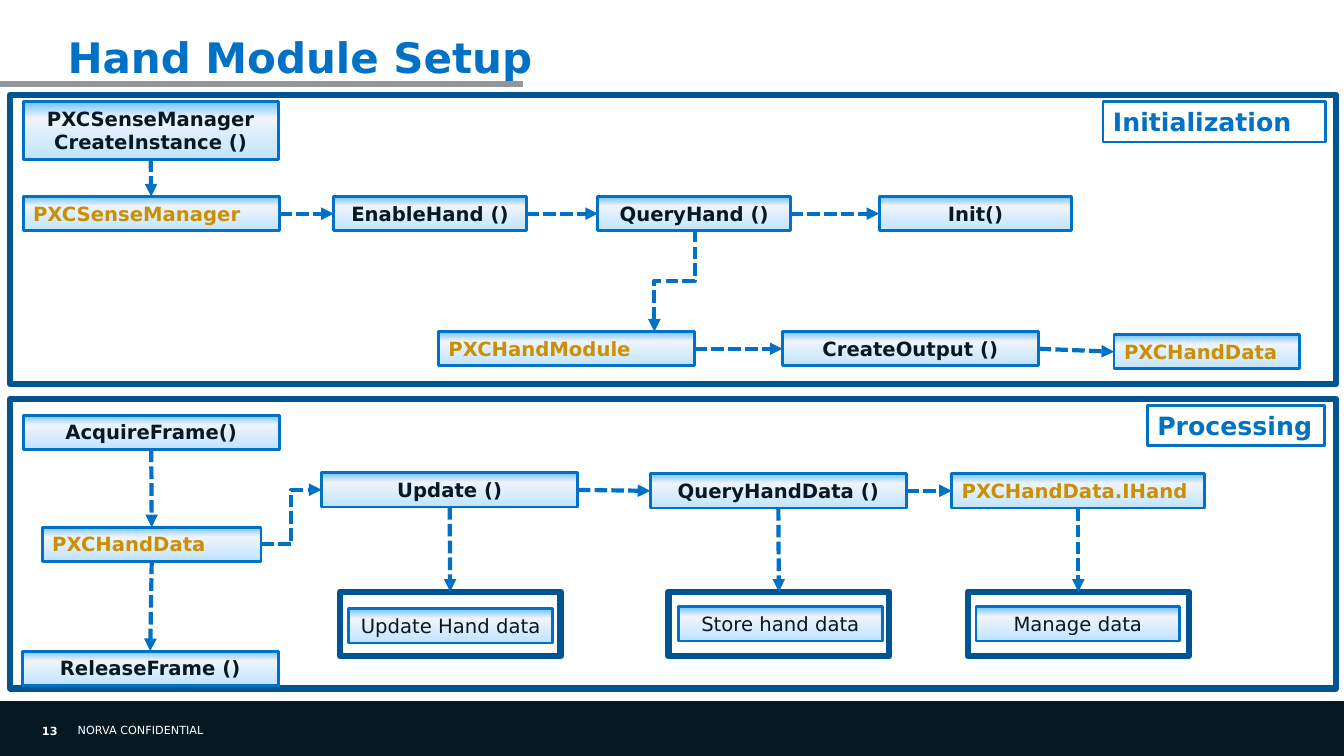
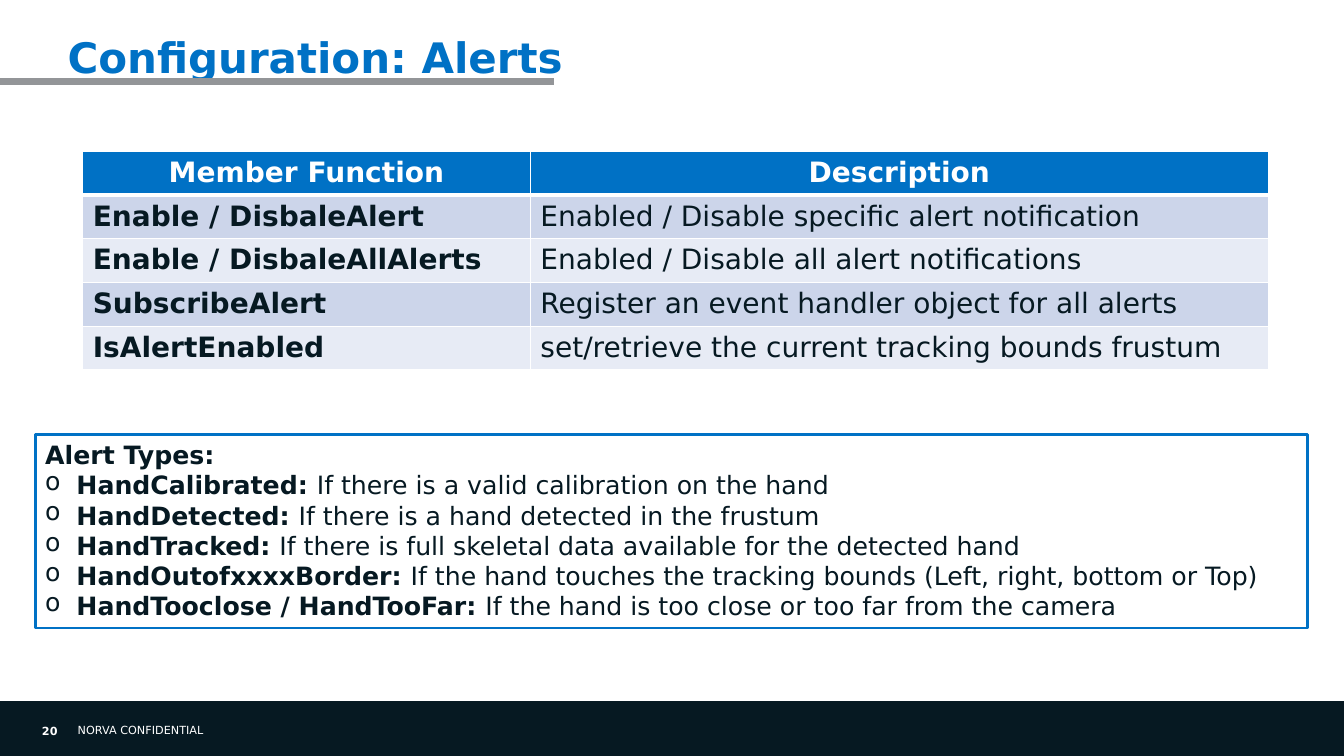
from copy import deepcopy

from lxml.etree import SubElement
from pptx import Presentation
from pptx.dml.color import RGBColor
from pptx.enum.dml import MSO_LINE
from pptx.enum.shapes import MSO_CONNECTOR as Route, MSO_SHAPE
from pptx.enum.text import MSO_ANCHOR as Anchor, PP_ALIGN as Align
from pptx.oxml.ns import qn
from pptx.util import Inches, Pt

FONT = "DejaVu Sans"
BLUE, DEEP_BLUE, INK = "0071C5", "005492", "061922"
WHITE, GREY, GOLD = "FFFFFF", "939598", "CA8F02"
ROW_FILLS = ("CCD5EA", "E7EBF5")
BOX_GRADIENT = ((0, "72C3FF"), (0.28, "F0F4FA"), (1, "C0E4FF"))
FOOTER = "NORVA CONFIDENTIAL"
TOP, LEFT, BOTTOM, RIGHT = range(4)  # connection sites of a rectangle

# Panel top, label, label left, label top, label width
PANELS = [
    (0.94, "Initialization", 10.94, 1.01, 2.21),
    (3.96, "Processing", 11.38, 4.02, 1.76),
]
BOX_HEIGHT = 0.34
# Key: text, left, top, width
CALLS = {
    "enable": ("EnableHand ()", 3.31, 1.95, 1.91),
    "query": ("QueryHand ()", 5.93, 1.95, 1.91),
    "init": ("Init()", 8.72, 1.95, 1.91),
    "output": ("CreateOutput ()", 7.76, 3.29, 2.54),
    "acquire": ("AcquireFrame()", 0.23, 4.12, 2.54),
    "release": ("ReleaseFrame ()", 0.22, 6.46, 2.54),
    "update": ("Update ()", 3.19, 4.69, 2.54),
    "query data": ("QueryHandData ()", 6.45, 4.7, 2.54),
}
OBJECTS = {
    "manager": ("PXCSenseManager", 0.23, 1.95, 2.54),
    "module": ("PXCHandModule", 4.35, 3.29, 2.54),
    "output data": ("PXCHandData", 11.05, 3.32, 1.84),
    "frame data": ("PXCHandData", 0.42, 5.23, 2.17),
    "hand": ("PXCHandData.IHand", 9.44, 4.7, 2.51),
}
ACTIONS = {
    "do update": ("Update Hand data", 3.46, 6.04, 2.02),
    "do store": ("Store hand data", 6.73, 6.02, 2.02),
    "do manage": ("Manage data", 9.68, 6.02, 2.02),
}
ACTION_FRAMES = {"update frame": 3.37, "store frame": 6.63, "manage frame": 9.6}
ACROSS = [
    ("manager", "enable"), ("enable", "query"), ("query", "init"),
    ("module", "output"), ("output", "output data"),
    ("update", "query data"), ("query data", "hand"),
]
DOWN = [
    ("create", "manager"), ("acquire", "frame data"), ("frame data", "release"),
    ("update", "update frame"), ("query data", "store frame"),
    ("hand", "manage frame"),
]

ALERT_FUNCTIONS = [
    ("Member Function", "Description"),
    ("Enable / DisbaleAlert", "Enabled / Disable specific alert notification"),
    ("Enable / DisbaleAllAlerts", "Enabled / Disable all alert notifications"),
    ("SubscribeAlert", "Register an event handler object for all alerts"),
    ("IsAlertEnabled", "set/retrieve the current tracking bounds frustum"),
]
ALERT_TYPES = [
    ("HandCalibrated: ", "If there is a valid calibration on the hand"),
    ("HandDetected: ", "If there is a hand detected in the frustum"),
    ("HandTracked: ", "If there is full skeletal data available for the detected hand"),
    ("HandOutofxxxxBorder: ",
     "If the hand touches the tracking bounds (Left, right, bottom or Top)"),
    ("HandTooclose / HandTooFar: ",
     "If the hand is too close or too far from the camera"),
]


def rgb(value):
    return RGBColor.from_string(value)


def add_run(paragraph, text, size, color=INK, bold=False):
    run = paragraph.add_run()
    run.text = text
    run.font.name, run.font.size, run.font.bold = FONT, Pt(size), bold
    run.font.color.rgb = rgb(color)


def add_text(slide, place, text, size, color, bold=False, inset=True):
    """Add a one-paragraph text box and return its text frame."""
    frame = slide.shapes.add_textbox(*map(Inches, place)).text_frame
    frame.word_wrap = True
    if not inset:
        frame.margin_left = frame.margin_right = 0
        frame.margin_top = frame.margin_bottom = 0
    add_run(frame.paragraphs[0], text, size, color, bold)
    return frame


def add_rect(slide, place, line, width, fill=None):
    rect = slide.shapes.add_shape(MSO_SHAPE.RECTANGLE, *map(Inches, place))
    rect.shadow.inherit = False
    if fill:
        rect.fill.solid()
        rect.fill.fore_color.rgb = rgb(fill)
    else:
        rect.fill.background()
    rect.line.color.rgb, rect.line.width = rgb(line), Pt(width)
    rect.text_frame.word_wrap = True
    rect.text_frame.vertical_anchor = Anchor.TOP
    rect.text_frame.paragraphs[0].alignment = Align.LEFT
    return rect


def add_box(slide, text, place, color=INK, bold=True, align=Align.CENTER):
    """Add a flow step with the shared gradient."""
    box = add_rect(slide, place, BLUE, 2)
    box.fill.gradient()
    box.fill.gradient_angle = 270
    stops = box._element.spPr.find(".//" + qn("a:gsLst"))
    stops.insert(1, deepcopy(stops[0]))
    for stop, (position, shade) in zip(box.fill.gradient_stops, BOX_GRADIENT):
        stop.position, stop.color.rgb = position, rgb(shade)
    paragraph = box.text_frame.paragraphs[0]
    paragraph.alignment = align
    add_run(paragraph, text, 14, color, bold)
    return box


def add_line(slide, route, ends, color, width):
    line = slide.shapes.add_connector(route, *ends)
    line.line.color.rgb, line.line.width = rgb(color), Pt(width)
    SubElement(line._element.spPr, qn("a:effectLst"))
    return line


def add_arrow(slide, route, ends=(0, 0, 0, 0)):
    arrow = add_line(slide, route, ends, BLUE, 3)
    arrow.line.dash_style = MSO_LINE.SQUARE_DOT
    SubElement(arrow.line._get_or_add_ln(), qn("a:tailEnd"), type="triangle")
    return arrow


def link(slide, source, source_site, target, target_site, route=Route.STRAIGHT):
    arrow = add_arrow(slide, route)
    arrow.begin_connect(source, source_site)
    arrow.end_connect(target, target_site)


def add_step_down(slide, x1, y1, x2, y2):
    """Add an elbow arrow that leaves downwards and steps to the left."""
    run, drop = x1 - x2, y2 - y1
    left, top = (x1 + x2 - drop) / 2, (y1 + y2 - run) / 2
    ends = [Inches(v) for v in (left, top, left + drop, top + run)]
    arrow = add_arrow(slide, Route.ELBOW, ends)
    arrow._element.spPr.find(qn("a:xfrm")).set("rot", str(90 * 60000))


def start_slide(deck, title, number, rule_end, rule_top):
    """Add a slide with the shared title, rule and footer band."""
    slide = deck.slides.add_slide(deck.slide_layouts[6])
    add_rect(slide, (0, 6.96, 13.33, 0.54), INK, 0.25, INK)
    add_text(slide, (0.77, 7.18, 4.22, 0.13), FOOTER, 8, WHITE, inset=False)
    page = add_text(slide, (0, 7.13, 0.67, 0.24), number, 8, WHITE, bold=True)
    page.vertical_anchor = Anchor.MIDDLE
    page.paragraphs[0].alignment = Align.RIGHT
    heading = add_text(slide, (0.67, 0.45, 12, 0.97), title, 30, BLUE, True, False)
    heading.paragraphs[0].line_spacing = Pt(26)
    ends = [Inches(v) for v in (0, rule_top, rule_end, rule_top)]
    add_line(slide, Route.STRAIGHT, ends, GREY, 4.5)
    return slide


def build_setup(deck):
    slide = start_slide(deck, "Hand Module Setup", "13", 5.19, 0.83)
    for panel_top, label, left, top, width in PANELS:
        add_rect(slide, (0.1, panel_top, 13.15, 2.87), DEEP_BLUE, 4.5)
        tag = add_rect(slide, (left, top, width, 0.4), BLUE, 2, WHITE)
        add_run(tag.text_frame.paragraphs[0], label, 18, BLUE, True)

    steps = {
        key: add_rect(slide, (left, 5.87, 2.19, 0.64), DEEP_BLUE, 4.5)
        for key, left in ACTION_FRAMES.items()
    }
    steps["create"] = add_box(
        slide, "PXCSenseManager CreateInstance ()", (0.23, 1.01, 2.53, 0.57))
    for group, color, bold, align in (
        (CALLS, INK, True, Align.CENTER),
        (OBJECTS, GOLD, True, Align.LEFT),
        (ACTIONS, INK, False, Align.CENTER),
    ):
        for key, (text, *place) in group.items():
            steps[key] = add_box(
                slide, text, (*place, BOX_HEIGHT), color, bold, align)

    for source, target in ACROSS:
        link(slide, steps[source], RIGHT, steps[target], LEFT)
    for source, target in DOWN:
        link(slide, steps[source], BOTTOM, steps[target], TOP)
    link(slide, steps["frame data"], RIGHT, steps["update"], LEFT, Route.ELBOW)
    add_step_down(slide, 6.89, 2.28, 6.49, 3.29)


def set_borders(cell, bottom):
    properties = cell._tc.get_or_add_tcPr()
    for side, width in (("L", 1), ("R", 1), ("T", 1), ("B", bottom)):
        border = SubElement(properties, qn("a:ln" + side), w=str(Pt(width)))
        fill = SubElement(border, qn("a:solidFill"))
        SubElement(fill, qn("a:srgbClr"), val=WHITE)


def add_functions_table(slide):
    place = map(Inches, (0.82, 1.5, 11.76, 2.1))
    table = slide.shapes.add_table(len(ALERT_FUNCTIONS), 2, *place).table
    for column, width in zip(table.columns, (4.44, 7.32)):
        column.width = Inches(width)
    for r, texts in enumerate(ALERT_FUNCTIONS):
        header = r == 0
        for c, text in enumerate(texts):
            cell = table.cell(r, c)
            set_borders(cell, 3 if header else 1)
            cell.fill.solid()
            cell.fill.fore_color.rgb = rgb(BLUE if header else ROW_FILLS[(r - 1) % 2])
            paragraph = cell.text_frame.paragraphs[0]
            paragraph.alignment = Align.CENTER if header else Align.LEFT
            add_run(paragraph, text, 20, WHITE if header else INK, header or c == 0)


def build_alerts(deck):
    slide = start_slide(deck, "Configuration: Alerts", "20", 5.49, 0.81)
    add_functions_table(slide)
    types = add_rect(slide, (0.35, 4.31, 12.62, 1.92), BLUE, 2, WHITE).text_frame
    add_run(types.paragraphs[0], "Alert Types:", 18, bold=True)
    for name, meaning in ALERT_TYPES:
        paragraph = types.add_paragraph()
        paragraph.alignment = Align.LEFT
        properties = paragraph._p.get_or_add_pPr()
        properties.set("marL", str(Inches(0.31)))
        properties.set("indent", str(-Inches(0.31)))
        SubElement(properties, qn("a:buChar"), char="o")
        add_run(paragraph, name, 18, bold=True)
        add_run(paragraph, meaning, 18)


def main():
    deck = Presentation()
    deck.slide_width, deck.slide_height = Inches(13.33), Inches(7.5)
    build_setup(deck)
    build_alerts(deck)
    deck.save("out.pptx")


if __name__ == "__main__":
    main()
